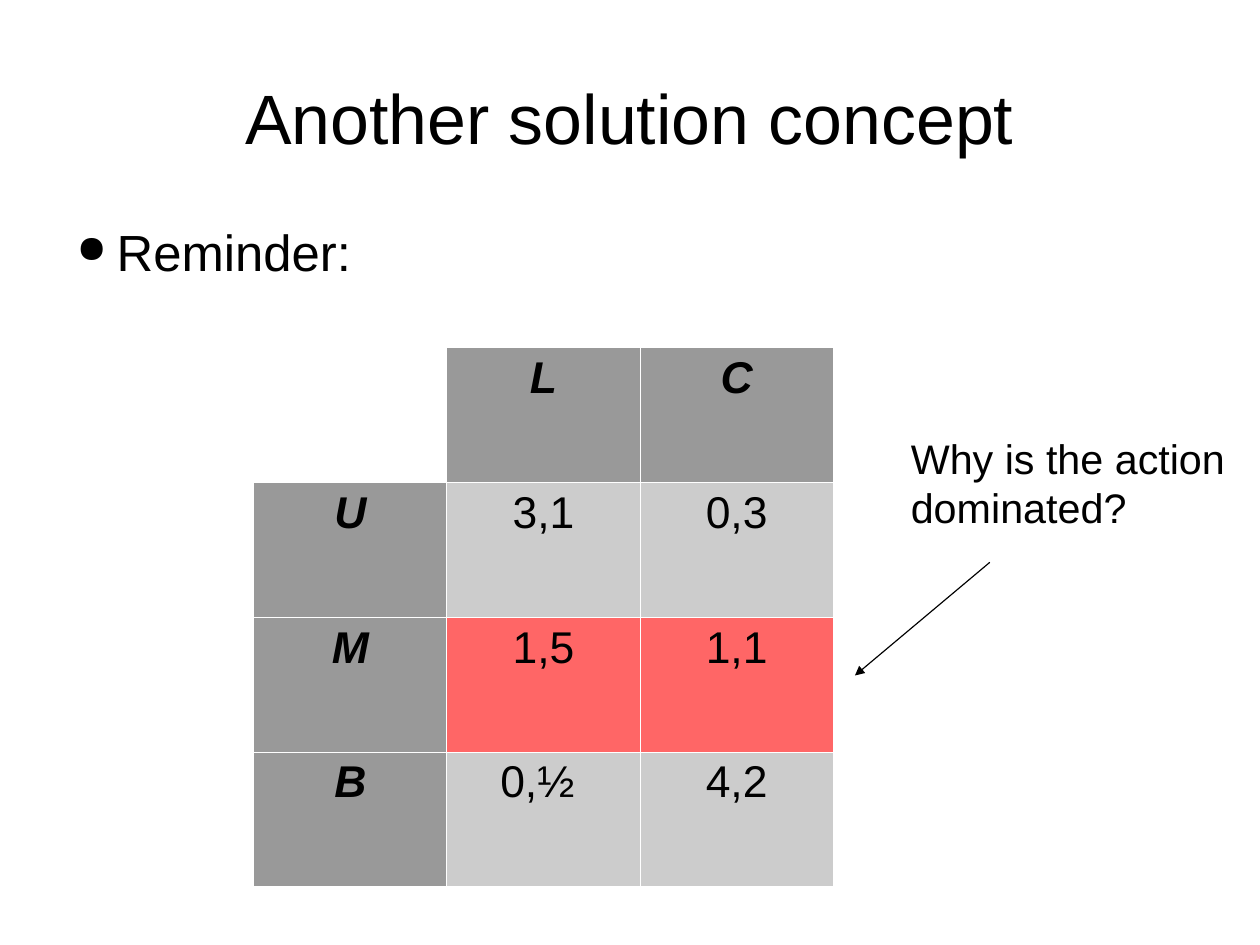
from lxml import etree
from pptx import Presentation
from pptx.dml.color import RGBColor
from pptx.enum.shapes import MSO_CONNECTOR
from pptx.enum.text import MSO_ANCHOR, PP_ALIGN
from pptx.oxml.ns import qn
from pptx.util import Inches, Pt

STRAIGHT = MSO_CONNECTOR.STRAIGHT
MIDDLE, TOP = MSO_ANCHOR.MIDDLE, MSO_ANCHOR.TOP
CENTER, LEFT = PP_ALIGN.CENTER, PP_ALIGN.LEFT
BLACK, WHITE = "000000", "FFFFFF"
HEADER_GRAY, PAYOFF_GRAY, DOMINATED_RED = "999999", "CCCCCC", "FF6666"


def color(value):
    return RGBColor.from_string(value)


def write(paragraph, text, size, alignment):
    paragraph.text = text
    paragraph.alignment = alignment
    paragraph.font.name = "Arial"
    paragraph.font.size = Pt(size)
    paragraph.font.color.rgb = color(BLACK)


presentation = Presentation()
presentation.slide_width = Inches(28 / 2.54)
presentation.slide_height = Inches(21 / 2.54)
slide = presentation.slides.add_slide(presentation.slide_layouts[6])

texts = [
    ("Another solution concept", (0.55, 0.33, 9.92, 1.38), 44, CENTER, MIDDLE, (0, 0)),
    ("Reminder:", (0.55, 1.93, 9.92, 4.8), 32, LEFT, TOP, (0, 0)),
    ("Why is the action dominated?", (7.87, 3.74, 3.15, 0.98), 26, LEFT, TOP, (0.1, 0.05)),
]
for text, box, size, alignment, anchor, (side, edge) in texts:
    shape = slide.shapes.add_textbox(*map(Inches, box))
    frame = shape.text_frame
    frame.word_wrap = True
    frame.vertical_anchor = anchor
    frame.margin_left = frame.margin_right = Inches(side)
    frame.margin_top = frame.margin_bottom = Inches(edge)
    paragraph = frame.paragraphs[0]
    write(paragraph, text, size, alignment)
    if text == "Reminder:":
        properties = paragraph._p.get_or_add_pPr()
        properties.set("marL", str(Inches(0.47)))
        properties.set("indent", str(Inches(-0.35)))
        bullet_color = etree.SubElement(properties, qn("a:buClr"))
        etree.SubElement(bullet_color, qn("a:srgbClr"), val=BLACK)
        etree.SubElement(properties, qn("a:buSzPct"), val="75000")
        etree.SubElement(properties, qn("a:buChar"), char="●")
        properties.append(properties.find(qn("a:defRPr")))

payoffs = [
    ["", "L", "C"],
    ["U", "3,1", "0,3"],
    ["M", "1,5", "1,1"],
    ["B", "0,½ ", "4,2"],
]
column_width, row_height = Inches(1.69), Inches(1.18)
table = slide.shapes.add_table(
    4, 3, Inches(2.22), Inches(3.04), 3 * column_width, 4 * row_height
).table
table.first_row = table.horz_banding = False
for column in table.columns:
    column.width = column_width
for row_index, row in enumerate(payoffs):
    table.rows[row_index].height = row_height
    for column_index, text in enumerate(row):
        cell = table.cell(row_index, column_index)
        cell_properties = cell._tc.get_or_add_tcPr()
        for side in ("a:lnL", "a:lnR", "a:lnT", "a:lnB"):
            border = etree.SubElement(cell_properties, qn(side), w=str(Pt(0.75)))
            border_fill = etree.SubElement(border, qn("a:solidFill"))
            etree.SubElement(border_fill, qn("a:srgbClr"), val=WHITE)
        is_header = row_index == 0 or column_index == 0
        if not text:
            fill = WHITE
        elif is_header:
            fill = HEADER_GRAY
        else:
            fill = DOMINATED_RED if row[0] == "M" else PAYOFF_GRAY
        cell.fill.solid()
        cell.fill.fore_color.rgb = color(fill)
        if text:
            paragraph = cell.text_frame.paragraphs[0]
            write(paragraph, text, 28, CENTER)
            paragraph.font.bold = paragraph.font.italic = is_header

arrow = slide.shapes.add_connector(
    STRAIGHT, Inches(8.66), Inches(4.92), Inches(7.48), Inches(5.91)
)
arrow.line.color.rgb = color(BLACK)
arrow.line.width = Pt(0.75)
etree.SubElement(arrow.line._get_or_add_ln(), qn("a:tailEnd"), type="triangle")
etree.SubElement(arrow._element.spPr, qn("a:effectLst"))

presentation.save("out.pptx")
